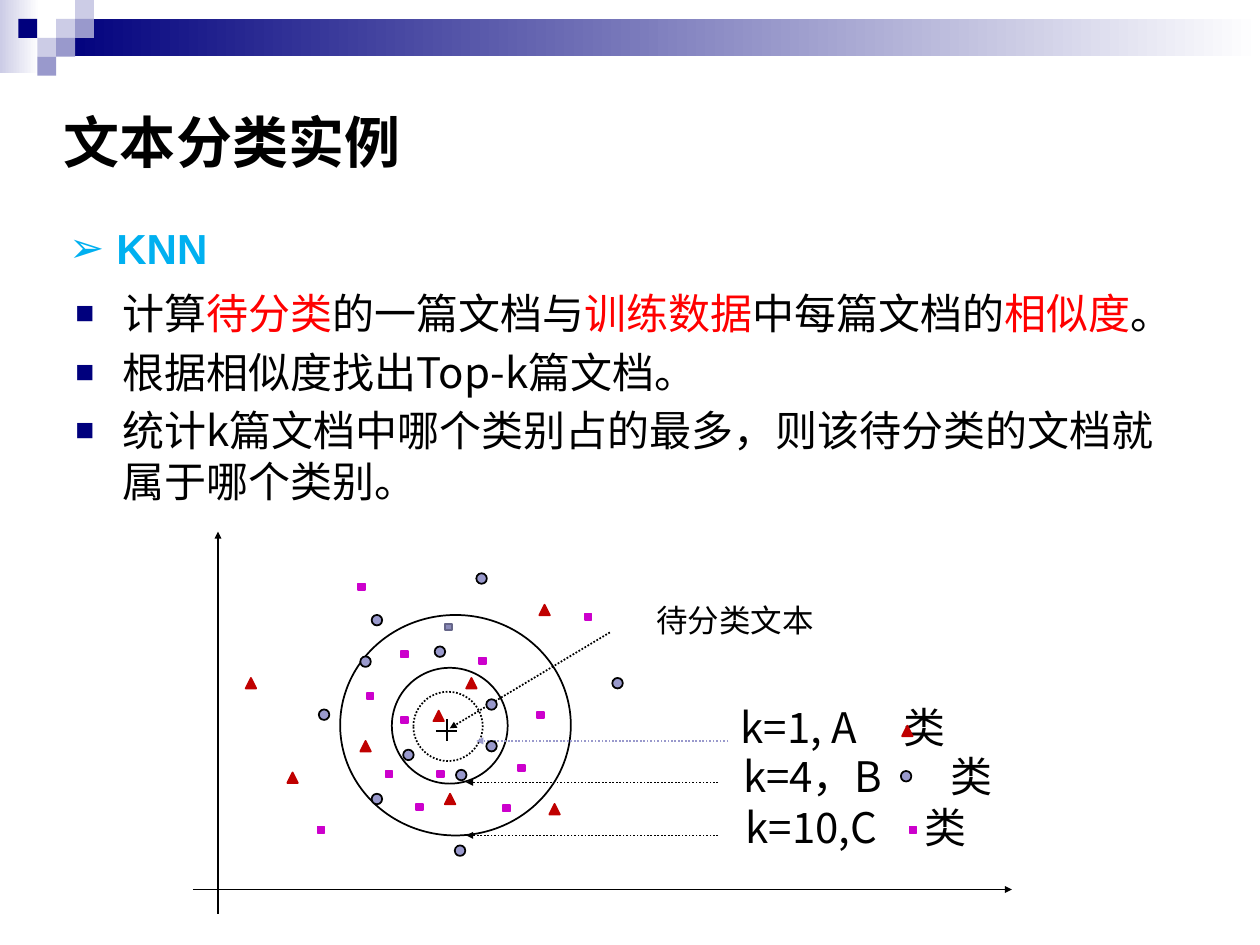
from lxml import etree
from pptx import Presentation
from pptx.dml.color import RGBColor
from pptx.enum.dml import MSO_LINE
from pptx.enum.shapes import MSO_CONNECTOR, MSO_SHAPE
from pptx.enum.text import MSO_ANCHOR
from pptx.oxml.ns import qn
from pptx.util import Pt

RECT, OVAL = MSO_SHAPE.RECTANGLE, MSO_SHAPE.OVAL
DOT, TRI = MSO_SHAPE.FLOWCHART_CONNECTOR, MSO_SHAPE.FLOWCHART_EXTRACT
LINE, DOTTED = MSO_CONNECTOR.STRAIGHT, MSO_LINE.ROUND_DOT
TOP, MIDDLE = MSO_ANCHOR.TOP, MSO_ANCHOR.MIDDLE
SANS, LATIN = "Noto Sans CJK SC", "Arial"
HEX = {
    "black": "000000", "white": "FFFFFF", "navy": "00007D", "pale": "CCCCE6",
    "lilac": "9999CC", "red": "FF0000", "brick": "C00000", "pink": "CC00CC",
    "sky": "00B0F0", "slate": "8A8AB9", "dusk": "666689",
}
RGB = {name: RGBColor.from_string(code) for name, code in HEX.items()}

deck = Presentation()
deck.slide_width, deck.slide_height = Pt(720), Pt(540)
slide = deck.slides.add_slide(deck.slide_layouts[6])
shapes = slide.shapes


def draw(kind, x, y, w, h, fill=None, line=None):
    shape = shapes.add_shape(kind, Pt(x), Pt(y), Pt(w), Pt(h))
    shape.shadow.inherit = False
    if fill:
        shape.fill.solid()
        shape.fill.fore_color.rgb = RGB[fill]
    else:
        shape.fill.background()
    if line:
        shape.line.color.rgb = RGB[line]
        shape.line.width = Pt(1)
    else:
        shape.line.fill.background()
    return shape


def write(x, y, w, h, paras, size=24, face=SANS, color="black", bold=False,
          wrap=True, anchor=TOP, bullet=None, tint=None, scale=100, gap=0, tab=None):
    frame = shapes.add_textbox(Pt(x), Pt(y), Pt(w), Pt(h)).text_frame
    frame.word_wrap = wrap
    frame.vertical_anchor = anchor
    for i, runs in enumerate(paras):
        para = frame.add_paragraph() if i else frame.paragraphs[0]
        if i:
            para.space_before = Pt(gap)
        props = para._p.get_or_add_pPr()
        if bullet:
            props.set("marL", str(Pt(27)))
            props.set("indent", str(Pt(-27)))
            tone = etree.SubElement(props, qn("a:buClr"))
            etree.SubElement(tone, qn("a:srgbClr"), val=HEX[tint])
            etree.SubElement(props, qn("a:buSzPct"), val=str(scale * 1000))
            etree.SubElement(props, qn("a:buFont"), typeface=LATIN)
            etree.SubElement(props, qn("a:buChar"), char=bullet)
        if tab:
            tabs = etree.SubElement(props, qn("a:tabLst"))
            etree.SubElement(tabs, qn("a:tab"), pos=str(Pt(tab)), algn="l")
        font = para.font
        font.size, font.bold, font.name = Pt(size), bold, face
        font.color.rgb = RGB[color]
        etree.SubElement(props.find(qn("a:defRPr")), qn("a:ea"), typeface=SANS)
        for text, hue in runs:
            run = para.add_run()
            run.text = text
            if hue:
                run.font.color.rgb = RGB[hue]


for box, start in [((0, 0, 22.5, 42), "pale"), ((32.5, 10.8, 687.5, 21.4), "navy")]:
    fill = draw(RECT, *box, start).fill
    fill.gradient()
    fill.gradient_angle = 0
    for stop, tone in zip(fill.gradient_stops, (start, "white")):
        stop.color.rgb = RGB[tone]

for col, row, tone in [
    (2, 1, "pale"), (3, 0, "pale"), (3, 1, "lilac"), (1, 2, "pale"),
    (0, 1, "navy"), (2, 2, "lilac"), (1, 3, "lilac"),
]:
    draw(RECT, 10.5 + 10.8 * col, 10.8 * row, 10.8, 10.8, tone)

write(29.5, 57.6, 648, 54, [[("文本分类实例", None)]], size=32, bold=True)
write(32.4, 123.8, 94.3, 36, [[("KNN", None)]], face=LATIN, color="sky",
      bold=True, wrap=False, bullet="➢", tint="sky")
write(36, 160.6, 648, 134, [
    [("计算", None), ("待分类", "red"), ("的一篇文档与", None), ("训练数据", "red"),
     ("中每篇文档的", None), ("相似度", "red"), ("。", None)],
    [("根据相似度找出Top-k篇文档。", None)],
    [("统计k篇文档中哪个类别占的最多，则该待分类的文档就属于哪个类别。", None)],
], bullet="■", tint="navy", scale=75, gap=4.8)

for x, y, w, h, dash in [
    (236.2, 395.3, 39.6, 39.6, DOTTED),
    (223.9, 381.6, 66.2, 66.2, None),
    (194.4, 351.4, 131.8, 126, None),
]:
    ring = draw(OVAL, x, y, w, h, line="black")
    if dash:
        ring.line.dash_style = dash

for x1, y1, x2, y2, tone, dash, head in [
    (110.2, 508.3, 578.2, 508.3, "black", None, True),
    (124.6, 522, 124.6, 303.8, "black", None, True),
    (348.5, 361.4, 257, 416.2, "black", DOTTED, True),
    (416.2, 423.4, 272.2, 423.4, "lilac", DOTTED, True),
    (410.4, 447.1, 266.4, 447.1, "black", DOTTED, True),
    (410.4, 477.4, 266.4, 477.4, "black", DOTTED, True),
    (249.1, 417.6, 261.4, 417.6, "black", None, False),
    (255.6, 411.1, 255.6, 423.4, "black", None, False),
]:
    link = shapes.add_connector(LINE, Pt(x1), Pt(y1), Pt(x2), Pt(y2))
    link.line.color.rgb = RGB[tone]
    link.line.width = Pt(1)
    if dash:
        link.line.dash_style = dash
    if head:
        etree.SubElement(link.line._get_or_add_ln(), qn("a:tailEnd"),
                         type="triangle", w="sm", len="sm")
    etree.SubElement(link._element.spPr, qn("a:effectLst"))

write(367.9, 339.1, 112, 30.2, [[("待分类文本", None)]], size=18, face=LATIN,
      anchor=MIDDLE)
for x, y, w, text, tab in [
    (416.2, 397.4, 213, "k=1, A\t类", 93),
    (417.6, 425.5, 185, "k=4，B\t类", 118.5),
    (419, 454.3, 218, "k=10,C\t类", 102),
]:
    write(x, y, w, 36, [[(text, None)]], tab=tab)

dots = [
    (272.2, 327.6), (212.4, 351.4), (205.9, 375.1), (182.2, 405.4), (230.4, 428.4),
    (212.4, 453.6), (260.6, 439.9), (277.9, 399.6), (248.4, 369.4), (277.9, 423.4),
    (259.9, 483.1), (349.9, 387.4), (514.8, 440.6),
]
tris = [
    (266.4, 387.4), (140.4, 387.4), (164.2, 441.4), (205.9, 423.4), (308.2, 345.6),
    (254.2, 453.6), (313.9, 459.4), (247.7, 406.1), (515.5, 414.7),
]
squares = [
    (306.7, 406.8), (249.8, 440.6), (295.9, 437), (287.3, 460.1), (229, 409.7),
    (209.5, 396), (273.6, 375.8), (237.6, 459.4), (220.3, 440.6), (204.5, 333.4),
    (181.4, 472.3), (334.1, 350.6), (229, 372.2), (519.8, 472.3),
]
for spots, kind, w, h, fill, line in [
    (dots, DOT, 6, 6, "lilac", "black"),
    (tris, TRI, 6, 6, "brick", "brick"),
    (squares, RECT, 4, 3.6, "pink", "pink"),
    ([(254.2, 356.4)], RECT, 4, 3.6, "slate", "dusk"),
]:
    for x, y in spots:
        draw(kind, x, y, w, h, fill, line)

deck.save("out.pptx")
